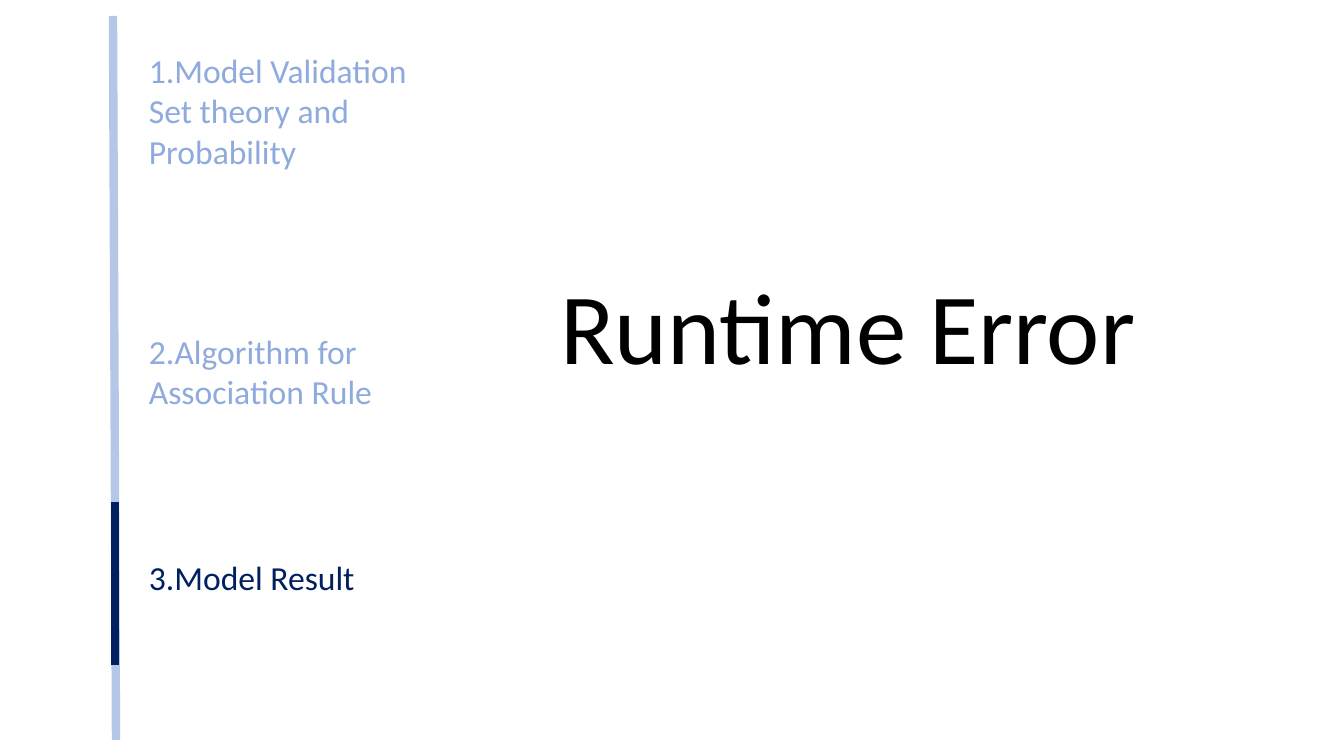
import dataclasses

import lxml.etree
import pptx
import pptx.dml.color
import pptx.enum.shapes
import pptx.enum.text
import pptx.oxml.ns
import pptx.util


@dataclasses.dataclass(frozen=True)
class Theme:
    """Colours, font and sizes of the slide."""
    font: str = "Calibri"
    rail: str = "B4C7E7"
    muted: str = "8FAADC"
    active: str = "002060"
    title: str = "000000"
    step_size: int = 24
    title_size: int = 72
    rail_width: int = 6


THEME = Theme()
WIDTH, HEIGHT = 1344, 756
EMU_PER_PIXEL = 12192000 / WIDTH


def emu(pixels):
    """Turn pixels into EMU."""
    return pptx.util.Emu(round(pixels * EMU_PER_PIXEL))


def rgb(value):
    """Turn a hex string into a colour."""
    return pptx.dml.color.RGBColor.from_string(value)


def write(shape, paragraphs, size, color):
    """Fill a shape with left-aligned, top-anchored paragraphs."""
    frame = shape.text_frame
    frame.word_wrap = True
    frame.auto_size = pptx.enum.text.MSO_AUTO_SIZE.NONE
    frame.vertical_anchor = pptx.enum.text.MSO_ANCHOR.TOP
    for index, text in enumerate(paragraphs):
        paragraph = frame.add_paragraph() if index else frame.paragraphs[0]
        paragraph.alignment = pptx.enum.text.PP_ALIGN.LEFT
        run = paragraph.add_run()
        run.text = text
        run.font.name = THEME.font
        run.font.size = pptx.util.Pt(size)
        run.font.color.rgb = rgb(color)


def add_rail(slide, start, end, color):
    """Draw one thick line of the rail."""
    connector = slide.shapes.add_connector(
        pptx.enum.shapes.MSO_CONNECTOR.STRAIGHT, *map(emu, start + end))
    connector.line.color.rgb = rgb(color)
    connector.line.width = pptx.util.Pt(THEME.rail_width)
    lxml.etree.SubElement(connector._element.spPr, pptx.oxml.ns.qn("a:effectLst"))


def add_agenda(slide, left, top, width, height, steps, current):
    """Place the rail and its steps, marking the current one."""
    add_rail(slide, (left, top), (left + 3, top + height), THEME.rail)
    add_rail(slide, (left + 2, top + 486), (left + 2, top + 649), THEME.active)
    indent = 26
    for index, (offset, step_height, paragraphs) in enumerate(steps):
        box = slide.shapes.add_textbox(*map(
            emu, (left + indent, top + offset, width - indent, step_height)))
        color = THEME.active if index == current else THEME.muted
        write(box, paragraphs, THEME.step_size, color)


def add_title(slide, left, top, width, height, text):
    """Place the slide title in its placeholder."""
    title = slide.shapes.title
    title.left, title.top, title.width, title.height = map(
        emu, (left, top, width, height))
    write(title, [text], THEME.title_size, THEME.title)


def main():
    """Build the slide and save it."""
    presentation = pptx.Presentation()
    presentation.slide_width = emu(WIDTH)
    presentation.slide_height = emu(HEIGHT)
    slide = presentation.slides.add_slide(presentation.slide_layouts[5])
    steps = [
        (29, 163, ["1.Model Validation", "Set theory and Probability"]),
        (310, 163, ["2.Algorithm for Association Rule"]),
        (536, 122, ["3.Model Result"]),
    ]
    add_agenda(slide, 113, 16, 350, 724, steps, current=2)
    add_title(slide, 550, 259, 634, 132, "Runtime Error")
    presentation.save("out.pptx")


main()
